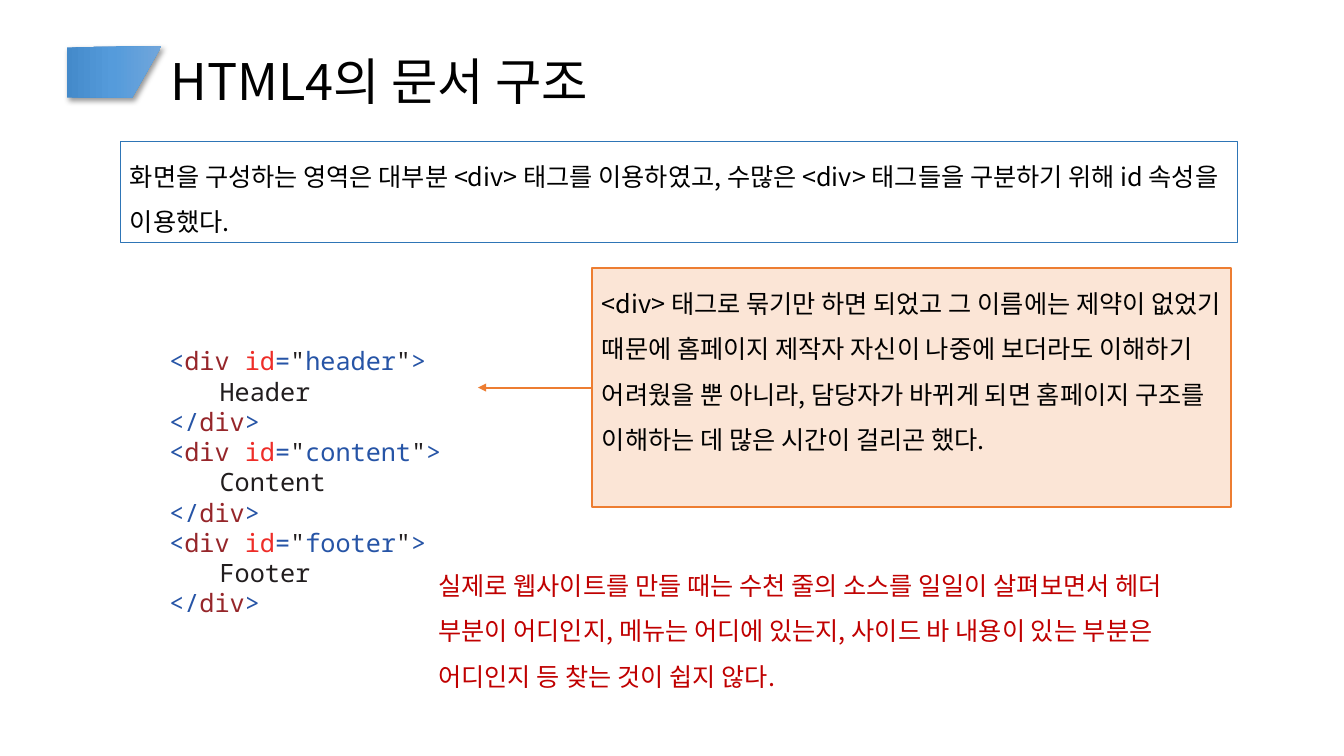
from dataclasses import dataclass

from lxml.etree import SubElement
from pptx import Presentation
from pptx.dml.color import RGBColor
from pptx.enum.shapes import MSO_CONNECTOR as CONN, MSO_SHAPE as SHAPE
from pptx.enum.text import MSO_ANCHOR as ANCHOR, PP_ALIGN as ALIGN
from pptx.oxml import parse_xml
from pptx.oxml.ns import nsdecls, qn
from pptx.util import Inches, Pt

TITLE = "HTML4의 문서 구조"
SUMMARY = ("화면을 구성하는 영역은 대부분 <div> 태그를 이용하였고, "
           "수많은 <div> 태그들을 구분하기 위해 id 속성을 이용했다.")
PROBLEM = ("<div> 태그로 묶기만 하면 되었고 그 이름에는 제약이 없었기 때문에 "
           "홈페이지 제작자 자신이 나중에 보더라도 이해하기 어려웠을 뿐 아니라, "
           "담당자가 바뀌게 되면 홈페이지 구조를 이해하는 데 많은 시간이 걸리곤 했다.")
WARNING = ("실제로 웹사이트를 만들 때는 수천 줄의 소스를 일일이 살펴보면서 "
           "헤더 부분이 어디인지, 메뉴는 어디에 있는지, 사이드 바 내용이 있는 "
           "부분은 어디인지 등 찾는 것이 쉽지 않다.")
DIV_IDS = ["header", "content", "footer"]

# Left, top, width, height in percent of the slide
AREAS = {
    "title": (11.1, 5.47, 78.39, 10.27),
    "code": (11.85, 45.07, 28.43, 37.73),
    "summary": (8.93, 18.67, 83.12, 13.47),
    "problem": (44.04, 35.47, 47.56, 31.6),
    "warning": (31.88, 72.8, 59.79, 18.8),
}
FLAG = [(4.95, 6.27), (7.65, 6.2), (12, 6.13), (9.83, 12.93), (4.95, 12.93)]
ARROW_TIP = 35.56


@dataclass(frozen=True)
class Theme:
    sans: str = "Noto Sans CJK KR"
    mono: str = "Noto Sans Mono"
    title_size: float = 36
    body_size: float = 18
    single: float = 1.2
    wide: float = 1.8
    black: str = "000000"
    red: str = "C00000"
    blue: str = "2E75B6"
    orange: str = "ED7D31"
    peach: str = "FBE5D6"
    mark: str = "2654A6"
    tag: str = "96262A"
    attr: str = "EE2D28"
    plain: str = "211D1E"
    flag: tuple = ("448ACA", "559BDB", "71A6DB")


T = Theme()
prs = Presentation()
prs.slide_width, prs.slide_height = Inches(13.33), Inches(7.5)
slide = prs.slides.add_slide(prs.slide_layouts[5])
shapes = slide.shapes


def x(share):
    return round(prs.slide_width * share / 100)


def y(share):
    return round(prs.slide_height * share / 100)


def area(name):
    left, top, width, height = AREAS[name]
    return x(left), y(top), x(width), y(height)


def write(p, runs, font=T.sans, size=T.body_size, leading=T.wide):
    """Fill a paragraph with (text, colour) runs."""
    p.alignment = ALIGN.LEFT
    p.line_spacing = Pt(size * leading)
    for text, color in runs:
        r = p.add_run()
        r.text = text
        for key, value in {"name": font, "size": Pt(size)}.items():
            setattr(r.font, key, value)
        r.font.color.rgb = RGBColor.from_string(color)
        SubElement(r.font._element, qn("a:ea")).set("typeface", font)


def text_box(name):
    tf = shapes.add_textbox(*area(name)).text_frame
    tf.word_wrap = True
    return tf


def framed_box(name, text, line, width, fill=None):
    sp = shapes.add_shape(SHAPE.RECTANGLE, *area(name))
    sp.shadow.inherit = False
    if fill:
        sp.fill.solid()
        sp.fill.fore_color.rgb = RGBColor.from_string(fill)
    else:
        sp.fill.background()
    sp.line.color.rgb = RGBColor.from_string(line)
    sp.line.width = Pt(width)
    sp.text_frame.word_wrap = True
    sp.text_frame.vertical_anchor = ANCHOR.TOP
    write(sp.text_frame.paragraphs[0], [(text, T.black)])
    return sp


def div_lines(name):
    """Coloured runs for the three lines of one div block."""
    return [
        [("<", T.mark), ("div ", T.tag), ("id", T.attr), ("=", T.mark),
         ('"', T.plain), (name, T.mark), ('"', T.plain), (">", T.mark)],
        [("\t" + name.capitalize(), T.plain)],
        [("</", T.mark), ("div", T.tag), (">", T.mark)],
    ]


def add_flag():
    points = [(x(px), y(py)) for px, py in FLAG]
    builder = shapes.build_freeform(*points[0])
    builder.add_line_segments(points[1:], close=True)
    sp = builder.convert_to_shape()
    sp.line.fill.background()
    stops = "".join(f'<a:gs pos="{i * 50000}"><a:srgbClr val="{c}"/></a:gs>'
                    for i, c in enumerate(T.flag))
    props = sp._element.spPr
    props.find(qn("a:ln")).addprevious(parse_xml(
        f'<a:gradFill {nsdecls("a")}><a:gsLst>{stops}</a:gsLst>'
        '<a:lin ang="0" scaled="0"/></a:gradFill>'))
    props.append(parse_xml(
        f'<a:effectLst {nsdecls("a")}><a:outerShdw blurRad="{Pt(4)}" '
        f'dist="{Pt(3)}" dir="2700000" algn="tl" rotWithShape="0">'
        '<a:srgbClr val="000000"><a:alpha val="40000"/></a:srgbClr>'
        '</a:outerShdw></a:effectLst>'))


def add_arrow(box):
    mid = box.top + box.height // 2
    arrow = shapes.add_connector(CONN.STRAIGHT, box.left, mid, x(ARROW_TIP), mid)
    arrow.begin_connect(box, 1)
    arrow.line.color.rgb = RGBColor.from_string(T.orange)
    arrow.line.width = Pt(1.5)
    SubElement(arrow.line._get_or_add_ln(), qn("a:tailEnd")).set("type", "triangle")
    SubElement(arrow._element.spPr, qn("a:effectLst"))


add_flag()

title = shapes.title
title.left, title.top, title.width, title.height = area("title")
title.text_frame.margin_left = Inches(0.21)
title.text_frame.vertical_anchor = ANCHOR.MIDDLE
write(title.text_frame.paragraphs[0], [(TITLE, T.black)],
      size=T.title_size, leading=T.single)

code = text_box("code")
for i, runs in enumerate(line for name in DIV_IDS for line in div_lines(name)):
    p = code.add_paragraph() if i else code.paragraphs[0]
    write(p, runs, font=T.mono, leading=T.single)

framed_box("summary", SUMMARY, T.blue, 0.75)
add_arrow(framed_box("problem", PROBLEM, T.orange, 1, T.peach))
write(text_box("warning").paragraphs[0], [(WARNING, T.red)])

prs.save("out.pptx")
